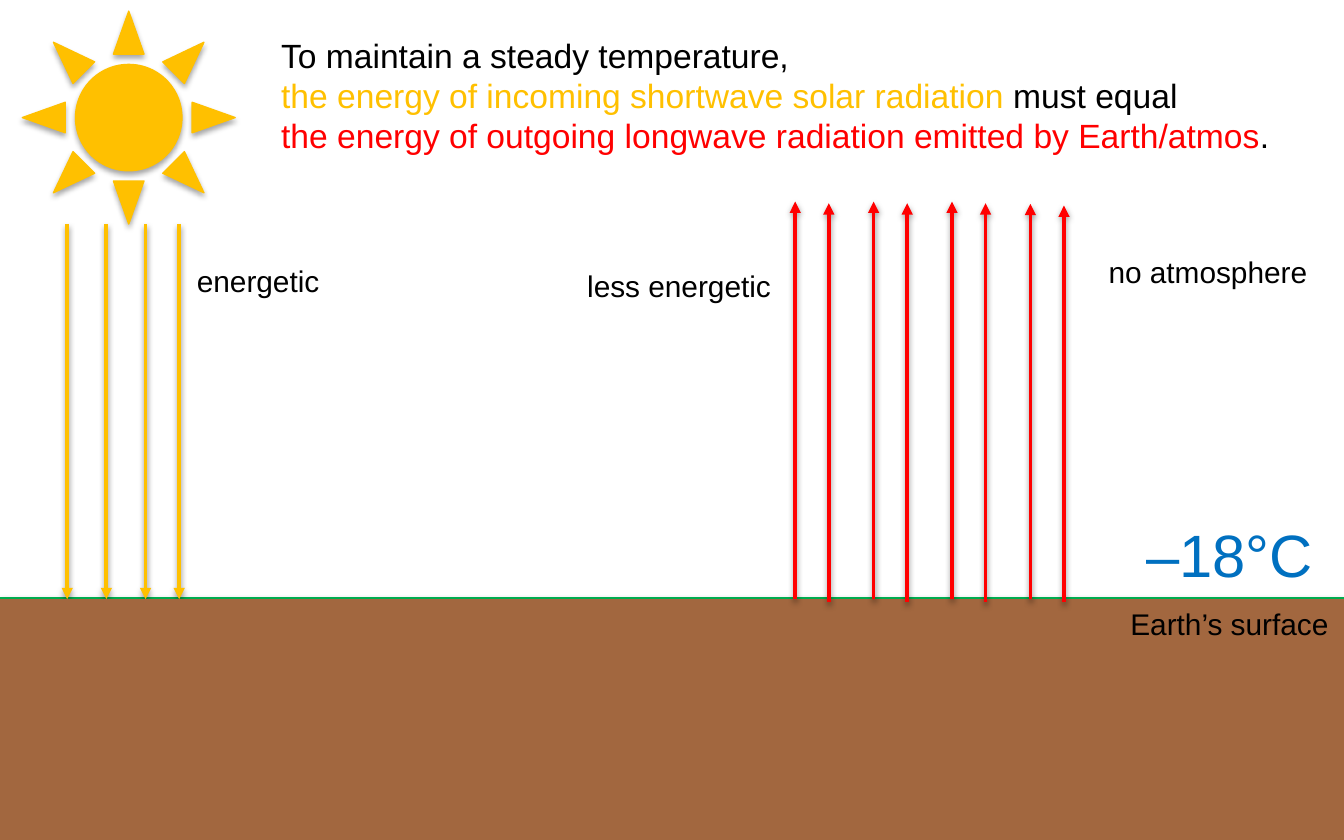
from lxml import etree
from pptx import Presentation
from pptx import util as u
from pptx.dml.color import RGBColor
from pptx.enum import shapes, text
from pptx.oxml.ns import qn

COLUMNS, ROWS = 24, 15
CELL = u.Inches(10) / COLUMNS
HORIZON, SUN_BASE, SKY_TOP = 10.7, 4, 3.6
SOLAR, INFRARED, INK = "FFC000", "FF0000", "000000"
rgb = RGBColor.from_string


def outline(item, color, width, opacity, distance):
    """Give a line its colour and width, and a soft shadow straight below."""
    item.line.color.rgb = rgb(color)
    item.line.width = u.Pt(width)
    effects = etree.SubElement(item._element.spPr, qn("a:effectLst"))
    shadow = etree.SubElement(
        effects, qn("a:outerShdw"), blurRad=str(u.Pt(3.1)),
        dist=str(u.Pt(distance)), dir="5400000", rotWithShape="0")
    black = etree.SubElement(shadow, qn("a:srgbClr"), val=INK)
    etree.SubElement(black, qn("a:alpha"), val=str(opacity * 1000))


def write(box, lines, size):
    """Fill a box with lines, each a list of (words, colour) pairs."""
    frame = box.text_frame
    settings = {"word_wrap": False, "auto_size": text.MSO_AUTO_SIZE.SHAPE_TO_FIT_TEXT,
                "vertical_anchor": text.MSO_ANCHOR.TOP}
    for name, value in settings.items():
        setattr(frame, name, value)
    for number, line in enumerate(lines):
        paragraph = frame.add_paragraph() if number else frame.paragraphs[0]
        paragraph.alignment = text.PP_ALIGN.LEFT
        for words, color in line:
            run = paragraph.add_run()
            run.text = words
            for name, value in {"name": "Arial", "size": u.Pt(size)}.items():
                setattr(run.font, name, value)
            run.font.color.rgb = rgb(color)


deck = Presentation()
deck.slide_width = round(COLUMNS * CELL)
deck.slide_height = round(ROWS * CELL)
slide = deck.slides.add_slide(deck.slide_layouts[5])

# Energy balance statement
statement = slide.shapes.title
place = {"left": 4.78, "top": 0.5, "width": 18.3, "height": 2.42}
for name, cells in place.items():
    setattr(statement, name, round(cells * CELL))
write(statement, [
    [("To maintain a steady temperature,", INK)],
    [("the energy of incoming shortwave solar radiation", SOLAR), (" must equal", INK)],
    [("the energy of outgoing longwave radiation emitted by Earth/atmos", INFRARED),
     (".", INK)],
], 18)

# Horizon, then incoming and outgoing rays: colour, start and end in cells
horizon = ("00B050", 0, HORIZON, COLUMNS, HORIZON)
incoming = [(SOLAR, x, SUN_BASE, x, HORIZON) for x in (1.2, 1.9, 2.6, 3.2)]
outgoing = []
for pair in range(4):
    x = 14.2 + 1.4 * pair
    drop = 0.04 if pair == 3 else 0
    outgoing += [(INFRARED, x, HORIZON, x, SKY_TOP + drop),
                 (INFRARED, x + 0.6, HORIZON + 0.05, x + 0.6, SKY_TOP + 0.03 + drop)]

# Solid parts: preset, colour, box in cells
sun = (shapes.MSO_SHAPE.SUN, SOLAR, 0.4, 0.2, 3.8, 3.8)
ground = (shapes.MSO_SHAPE.RECTANGLE, "A2673F", 0, HORIZON, COLUMNS, ROWS - HORIZON)

for part in [horizon, sun, *incoming, ground, *outgoing]:
    if part in (sun, ground):
        preset, color, *box = part
        solid = slide.shapes.add_shape(preset, *(round(cells * CELL) for cells in box))
        solid.fill.solid()
        solid.fill.fore_color.rgb = rgb(color)
        outline(solid, color, 0.75, 35, 1.8)
    else:
        color, *ends = part
        ray = slide.shapes.add_connector(
            shapes.MSO_CONNECTOR.STRAIGHT, *(round(cells * CELL) for cells in ends))
        outline(ray, color, 2, 38, 1.6)
        if part != horizon:
            etree.SubElement(ray.line._get_or_add_ln(), qn("a:tailEnd"), type="triangle")

# Labels: words, colour, size, box in cells
for words, color, size, *box in [
    ("Earth’s surface", INK, 16, 19.95, HORIZON, 4.05, 0.89),
    ("no atmosphere", INK, 16, 19.56, 4.42, 4.08, 0.89),
    ("energetic", INK, 16, 3.28, 4.58, 2.7, 0.89),
    ("less energetic", INK, 16, 10.25, 4.66, 3.8, 0.89),
    ("–18°C", "0070C0", 32, 20.23, 9.12, 3.48, 1.54),
]:
    label = slide.shapes.add_textbox(*(round(cells * CELL) for cells in box))
    write(label, [[(words, color)]], size)

deck.save("out.pptx")
